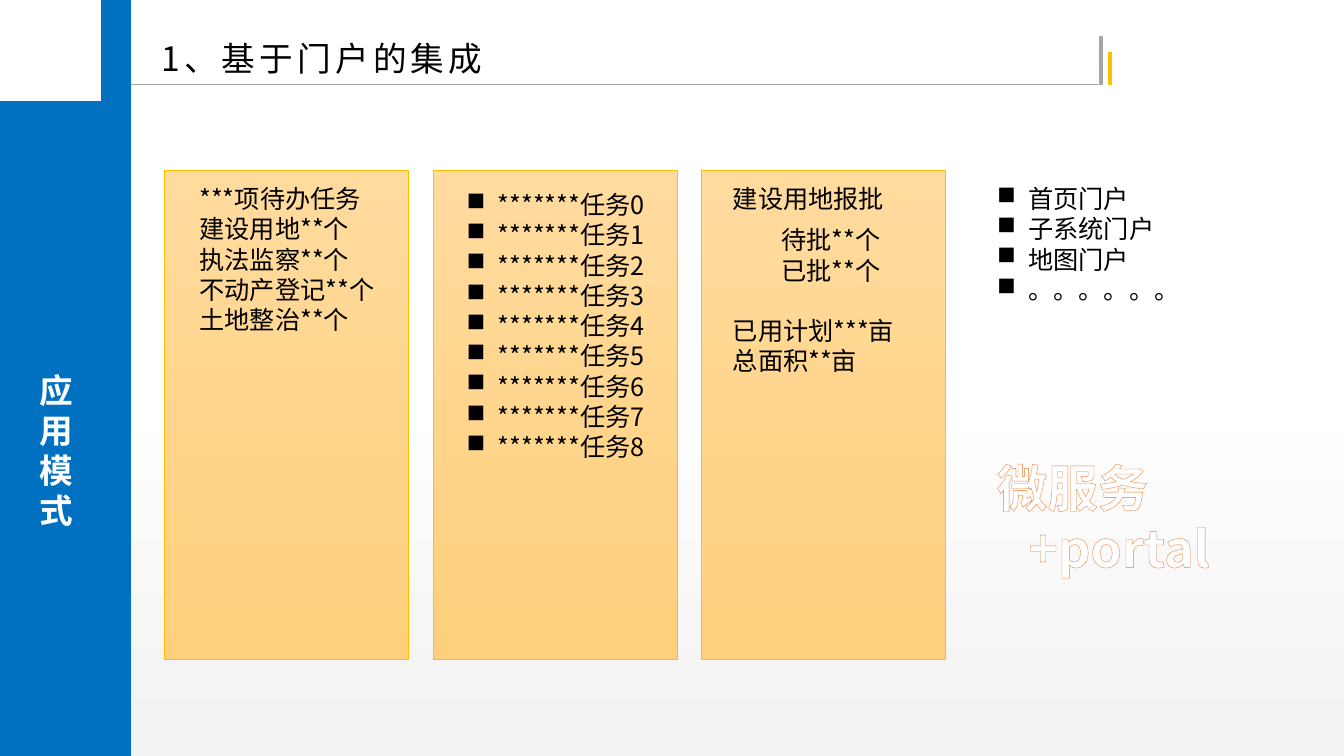
import math
import pptx
import pptx.util
import pptx.dml.color
import pptx.enum.shapes
import pptx.enum.text
import pptx.oxml
import pptx.oxml.ns
from dataclasses import dataclass

Inches, Pt = pptx.util.Inches, pptx.util.Pt
qn = pptx.oxml.ns.qn


@dataclass(frozen=True)
class Theme:
    font: str = "Noto Sans CJK SC"
    ink: str = "000000"
    white: str = "FFFFFF"
    fade: str = "F2F2F2"
    blue: str = "0070C0"
    gold: str = "FFC000"
    gray: str = "A6A6A6"
    rim: str = "ED7D31"
    light: str = "FFDB9E"
    deep: str = "FFD07C"
    body: int = 18
    head: int = 24
    big: int = 36
    indent: float = 0.31


def rgb(code):
    return pptx.dml.color.RGBColor.from_string(code)


def blend(fill, start, end, first=0):
    """Fill from top to bottom, holding the start colour until first."""
    fill.gradient()
    fill.gradient_angle = 270
    for stop, code, place in zip(fill.gradient_stops, (start, end), (first, 1)):
        stop.color.rgb = rgb(code)
        stop.position = place


class Page:
    def __init__(self, deck, theme):
        self.theme = theme
        self.slide = deck.slides.add_slide(deck.slide_layouts[6])
        self.shapes = self.slide.shapes
        blend(self.slide.background.fill, theme.white, theme.fade, 0.5)

    def line(self, x1, y1, x2, y2, color, width):
        kind = pptx.enum.shapes.MSO_CONNECTOR.STRAIGHT
        line = self.shapes.add_connector(kind, *map(Inches, (x1, y1, x2, y2)))
        line.line.color.rgb = rgb(color)
        line.line.width = Pt(width)
        props = line.element.find(qn("p:spPr"))
        props.append(pptx.oxml.parse_xml(
            f'<a:effectLst {pptx.oxml.ns.nsdecls("a")}/>'))

    def rect(self, x, y, w, h):
        kind = pptx.enum.shapes.MSO_SHAPE.RECTANGLE
        rect = self.shapes.add_shape(kind, *map(Inches, (x, y, w, h)))
        rect.shadow.inherit = False
        return rect

    def bar(self, x, y, w, h):
        bar = self.rect(x, y, w, h)
        bar.fill.solid()
        bar.fill.fore_color.rgb = rgb(self.theme.blue)
        bar.line.fill.background()

    def panel(self, x, y, w, h):
        panel = self.rect(x, y, w, h)
        blend(panel.fill, self.theme.light, self.theme.deep)
        panel.line.color.rgb = rgb(self.theme.gold)
        panel.line.width = Pt(0.5)

    def gear(self, edge, mid, radius):
        """Draw a closed outline with a round hole at mid."""
        hole = [(mid[0] + radius * math.cos(math.radians(turn)),
                 mid[1] + radius * math.sin(math.radians(turn)))
                for turn in range(0, 360, 6)]
        pen = self.shapes.build_freeform(*edge[0], scale=Inches(1))
        pen.add_line_segments(edge[1:])
        pen.move_to(*hole[0])
        pen.add_line_segments(hole[1:])
        gear = pen.convert_to_shape()
        gear.shadow.inherit = False
        gear.fill.solid()
        gear.fill.fore_color.rgb = rgb(self.theme.white)
        gear.line.fill.background()

    def text(self, x, y, w, h, lines, size=None, color=None, bold=False,
             hang=False, bullet=False, anchor="TOP"):
        theme = self.theme
        box = self.shapes.add_textbox(*map(Inches, (x, y, w, h)))
        frame = box.text_frame
        frame.word_wrap = True
        frame.vertical_anchor = pptx.enum.text.MSO_ANCHOR[anchor]
        frame.text = "\n".join(lines)
        for para in frame.paragraphs:
            props = para._p.get_or_add_pPr()
            if hang or bullet:
                props.set("marL", str(Inches(theme.indent)))
                props.set("indent", str(-Inches(theme.indent)))
            if bullet:
                mark = pptx.oxml.parse_xml(
                    f'<a:buChar {pptx.oxml.ns.nsdecls("a")} char="■"/>')
                props.append(mark)
            font = para.font
            font.name = theme.font
            font.size = Pt(size or theme.body)
            font.bold = bold
            font.color.rgb = rgb(color or theme.ink)
            for run in para.runs:
                props = run._r.get_or_add_rPr()
                props.append(pptx.oxml.parse_xml(
                    f'<a:ea {pptx.oxml.ns.nsdecls("a")} '
                    f'typeface="{theme.font}"/>'))
        return box

    def upright(self, *place, **style):
        box = self.text(*place, **style)
        box.element.find(".//" + qn("a:bodyPr")).set("vert", "wordArtVertRtl")

    def title(self, *place, **style):
        para = self.text(*place, **style).text_frame.paragraphs[0]
        para.line_spacing = 0.9
        para.runs[0]._r.get_or_add_rPr().set("spc", "300")

    def hollow(self, *place, **style):
        """Write text with a thin coloured rim."""
        box = self.text(*place, **style)
        run = box.text_frame.paragraphs[0].runs[0]
        run._r.get_or_add_rPr().insert(0, pptx.oxml.parse_xml(
            f'<a:ln {pptx.oxml.ns.nsdecls("a")} w="{Pt(0.52)}"><a:solidFill>'
            f'<a:srgbClr val="{self.theme.rim}"/></a:solidFill></a:ln>'))


def main():
    deck = pptx.Presentation()
    deck.slide_width, deck.slide_height = Inches(13.33), Inches(7.5)
    theme = Theme()
    page = Page(deck, theme)

    page.line(0, 0.84, 10.89, 0.84, theme.gray, 0.5)
    page.line(10.92, 0.84, 10.92, 0.36, theme.gray, 3)
    page.line(11.01, 0.84, 11.01, 0.52, theme.gold, 3)
    page.bar(0, 0, 1.3, 7.5)
    page.upright(0.29, 1.43, 0.72, 6.07, ["应用模式"], size=theme.head,
                 color=theme.white, bold=True, anchor="MIDDLE")

    mid = (0.65, 0.645)
    upper = [(0.25, 0.53), (0.32, 0.53), (0.32, 0.51), (0.35, 0.46),
             (0.31, 0.4), (0.49, 0.26), (0.53, 0.31), (0.6, 0.3),
             (0.62, 0.23), (0.84, 0.28), (0.83, 0.35), (0.89, 0.4),
             (0.95, 0.37), (1.05, 0.57), (0.99, 0.61)]
    lower = [(x, 2 * mid[1] - y) for x, y in reversed(upper)]
    page.gear(upper + lower, mid, 0.17)

    page.title(1.5, 0.28, 6.82, 0.55, ["1、基于门户的集成"],
               size=theme.head, anchor="BOTTOM")
    page.text(9.79, 1.77, 2.29, 1.31,
              ["首页门户", "子系统门户", "地图门户", "。。。。。。"], bullet=True)

    for col in range(3):
        page.panel(1.63 + 2.665 * col, 1.69, 2.42, 4.85)
    page.text(1.88, 1.77, 2.29, 1.92,
              ["***项待办任务", "建设用地**个", "执法监察**个",
               "不动产登记**个", "土地整治**个"])
    page.text(4.53, 1.83, 2.29, 3.13,
              [f"*******任务{num}" for num in range(9)], bullet=True)
    page.text(7.17, 1.77, 2.29, 0.4, ["建设用地报批"], hang=True)
    page.text(7.65, 2.18, 1.73, 1.01, ["待批**个", "已批**个"], hang=True)
    page.text(7.17, 3.08, 2.14, 1.01, ["已用计划***亩", "总面积**亩"], hang=True)
    page.hollow(9.79, 4.48, 3.07, 1.31, ["微服务+portal"], size=theme.big,
                color=theme.white, bold=True, hang=True)
    deck.save("out.pptx")


if __name__ == "__main__":
    main()
